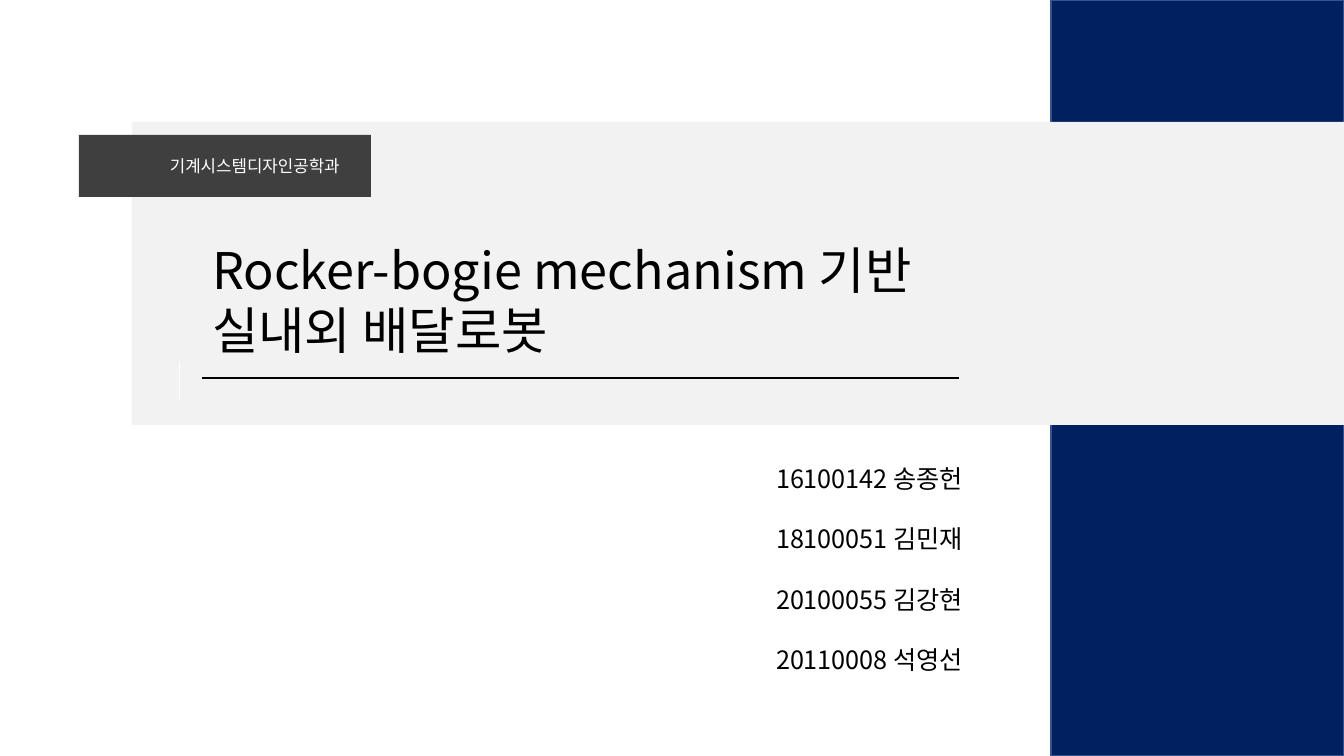
from pptx import Presentation, util as u
from pptx.dml.color import RGBColor
from pptx.enum import shapes, text
from pptx.oxml.ns import qn
from lxml import etree

NAVY = RGBColor(0x00, 0x20, 0x60)
NAVY_EDGE = RGBColor(0x32, 0x54, 0x91)
PALE = RGBColor(0xF2, 0xF2, 0xF2)
CHARCOAL = RGBColor(0x3F, 0x3F, 0x3F)
BLACK = RGBColor(0x00, 0x00, 0x00)
WHITE = RGBColor(0xFF, 0xFF, 0xFF)
FONT = "Noto Sans CJK KR"
WIDTH, HEIGHT = 1344, 756
AUTHORS = ["16100142 송종헌", "18100051 김민재", "20100055 김강현", "20110008 석영선"]


def px(length):
    """Turn pixels into EMU."""
    return u.Emu(round(length * u.Inches(1) / 100.8))


def add_block(parent, x, y, w, h, fill, edge=None):
    """Add a flat rectangle, outlined only when an edge colour is given."""
    block = parent.add_shape(shapes.MSO_SHAPE.RECTANGLE, px(x), px(y), px(w), px(h))
    block.shadow.inherit = False
    block.fill.solid()
    block.fill.fore_color.rgb = fill
    if edge is None:
        block.line.fill.background()
    else:
        block.line.color.rgb = edge
        block.line.width = u.Pt(1)


def add_rule(parent, x1, y1, x2, y2, color, weight):
    """Add a straight line without a shadow."""
    rule = parent.add_connector(shapes.MSO_CONNECTOR.STRAIGHT, px(x1), px(y1), px(x2), px(y2))
    rule.line.color.rgb = color
    rule.line.width = u.Pt(weight)
    etree.SubElement(rule._element.spPr, qn("a:effectLst"))


def write(holder, x, y, w, h, lines, size, color, gap=0):
    """Place a text holder and fill it with left-aligned paragraphs."""
    holder.left, holder.top, holder.width, holder.height = px(x), px(y), px(w), px(h)
    frame = holder.text_frame
    frame.text = "\n".join(lines)
    frame.word_wrap = True
    frame.auto_size = text.MSO_AUTO_SIZE.NONE
    frame.vertical_anchor = text.MSO_ANCHOR.TOP
    for index, paragraph in enumerate(frame.paragraphs):
        paragraph.alignment = text.PP_ALIGN.LEFT
        paragraph.line_spacing = 1.0
        paragraph.space_before = u.Pt(gap if index else 0)
        for run in paragraph.runs:
            run.font.size = u.Pt(size)
            run.font.name = FONT
            run.font.color.rgb = color
            properties = run._r.get_or_add_rPr()
            etree.SubElement(properties, qn("a:ea")).set("typeface", FONT)


def add_department(slide, x, y, w, h):
    """Add the department tag with its label."""
    tag = slide.shapes.add_group_shape().shapes
    add_block(tag, x, y, w, h, CHARCOAL)
    label = tag.add_textbox(0, 0, 0, 0)
    write(label, x + 81, y + 16, 242, 30, ["기계시스템디자인공학과"], 12, WHITE)


def add_title_band(slide, x, y, w, h):
    """Add the pale band with the department, title and rules."""
    add_block(slide.shapes, x, y, w, h, PALE)
    add_rule(slide.shapes, x + 70, y + 256, x + 827, y + 256, BLACK, 1.5)
    add_department(slide, x - 53, y + 13, 292, 62)
    add_rule(slide.shapes, x + 47, y + 240, x + 47, y + 278, WHITE, 0.5)
    title = slide.shapes.title
    write(title, x + 70, y + 112, 740, 132,
          ["Rocker-bogie mechanism 기반 실내외 배달로봇"], 36, BLACK)
    slide.shapes._spTree.append(title._element)


def add_authors(slide, x, y, w, h):
    """List the authors in the subtitle placeholder."""
    authors = slide.placeholders[1]
    write(authors, x, y, w, h, AUTHORS, 18, BLACK, gap=21.6)
    slide.shapes._spTree.append(authors._element)


def build_cover(deck):
    """Build the cover slide."""
    slide = deck.slides.add_slide(deck.slide_layouts[0])
    add_block(slide.shapes, 1051, 0, WIDTH - 1051, HEIGHT, NAVY, NAVY_EDGE)
    add_title_band(slide, 132, 122, WIDTH - 132, 303)
    add_authors(slide, 766, 458, 721, 224)


def main():
    """Create and save the deck."""
    deck = Presentation()
    deck.slide_width, deck.slide_height = px(WIDTH), px(HEIGHT)
    build_cover(deck)
    deck.save("out.pptx")


if __name__ == "__main__":
    main()
